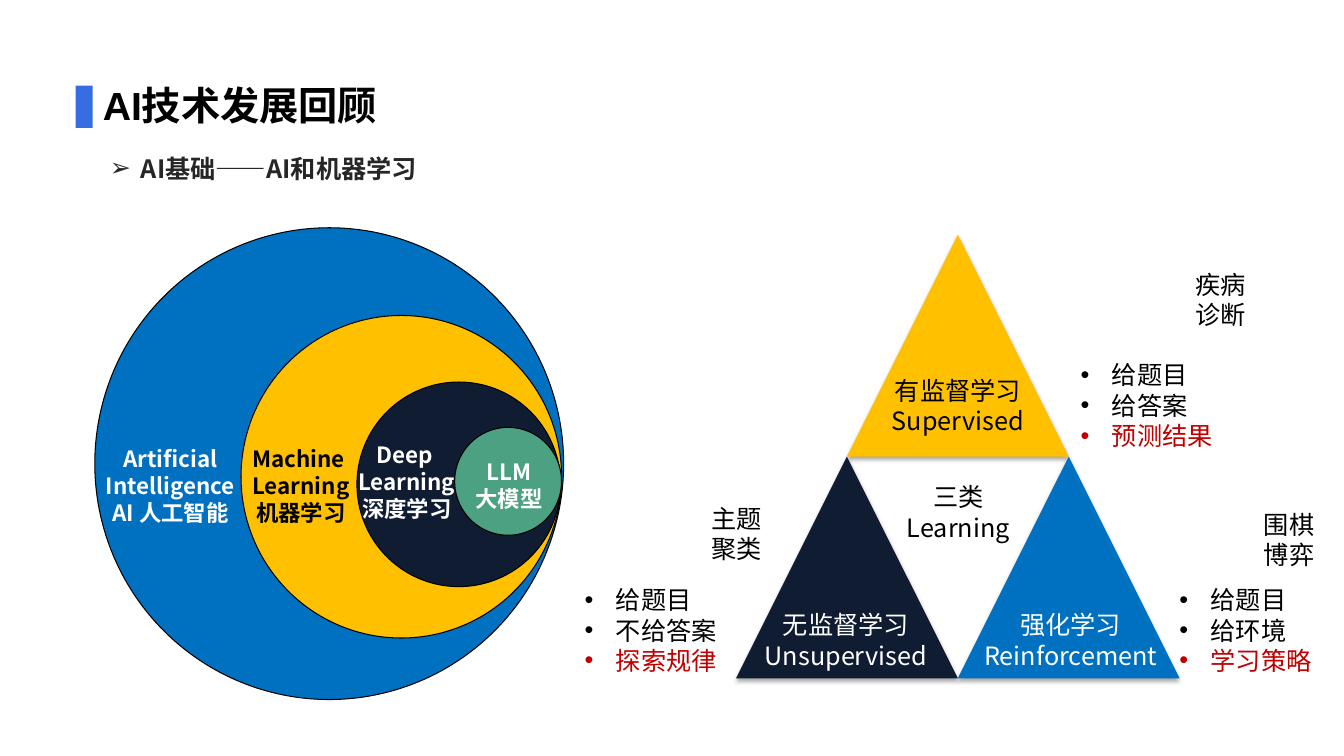
from dataclasses import dataclass

from lxml.etree import SubElement
from pptx import Presentation
from pptx.dml.color import RGBColor
from pptx.enum.shapes import MSO_SHAPE as Shape
from pptx.enum.text import MSO_ANCHOR as Anchor, MSO_AUTO_SIZE as AutoSize, PP_ALIGN as Align
from pptx.oxml.ns import qn
from pptx.util import Inches, Pt


@dataclass(frozen=True)
class Theme:
    latin: str = "Arial"
    cjk: str = "Noto Sans CJK SC"
    black: str = "000000"
    white: str = "FFFFFF"
    grey: str = "262626"
    accent: str = "366DE2"
    blue: str = "0070C0"
    gold: str = "FFC000"
    navy: str = "101C32"
    green: str = "4BA181"
    red: str = "C00000"
    title: int = 28
    body: int = 18
    label: int = 16
    leading: float = 1.2
    indent: float = 0.31


theme = Theme()

TITLE = "AI技术发展回顾"
SUBTITLE = "AI基础——AI和机器学习"
CIRCLES = [
    ((0.94, 2.26, 4.65, 4.68), theme.blue),
    ((2.39, 3.13, 3.18, 3.2), theme.gold),
    ((3.54, 3.79, 2.02, 2.03), theme.navy),
    ((4.51, 4.24, 1.06, 1.07), theme.green),
]
CIRCLE_LABELS = [
    ((0.92, 4.36, 1.54, 0.91), ["Artificial", "Intelligence", "AI 人工智能"], theme.white),
    ((2.37, 4.36, 1.23, 0.91), ["Machine ", "Learning", "机器学习"], theme.black),
    ((3.44, 4.32, 1.19, 0.91), ["Deep ", "Learning", "深度学习"], theme.white),
    ((4.61, 4.49, 0.88, 0.64), ["LLM", "大模型"], theme.white),
]
CENTER = ((8.64, 4.73, 1.73, 0.71), ["三类", "Learning"])
PYRAMID_LEFT, PYRAMID_TOP, SIDE = 7.3, 2.33, 2.2
BRANCHES = [
    {
        "cell": (0, 1), "fill": theme.navy, "ink": theme.white,
        "name": ["无监督学习", "Unsupervised"], "name_at": (7.27, 6, 2.24, 0.71),
        "steps": ["给题目", "不给答案", "探索规律"], "steps_at": (5.7, 5.75),
        "example": "主题聚类", "example_at": (6.89, 4.94),
    },
    {
        "cell": (0.5, 0), "fill": theme.gold, "ink": theme.black,
        "name": ["有监督学习", "Supervised"], "name_at": (8.25, 3.67, 2.5, 0.71),
        "steps": ["给题目", "给答案", "预测结果"], "steps_at": (10.62, 3.52),
        "example": "疾病诊断", "example_at": (11.69, 2.62),
    },
    {
        "cell": (1, 1), "fill": theme.blue, "ink": theme.white,
        "name": ["强化学习", "Reinforcement"], "name_at": (9.5, 6, 2.24, 0.71),
        "steps": ["给题目", "给环境", "学习策略"], "steps_at": (11.6, 5.75),
        "example": "围棋博弈", "example_at": (12.37, 5),
    },
]


def color(value):
    return RGBColor.from_string(value)


def style(para, size, ink, bold=False, latin=theme.cjk):
    for span in para.runs:
        span.font.name = latin
        span.font.size = Pt(size)
        span.font.bold = bold
        span.font.color.rgb = color(ink)
        SubElement(span.font._element, qn("a:ea"), typeface=theme.cjk)


def add_bullet(para, mark):
    props = para._p.get_or_add_pPr()
    props.set("marL", str(Inches(theme.indent)))
    props.set("indent", str(-Inches(theme.indent)))
    SubElement(props, qn("a:buFont"), typeface=theme.latin)
    SubElement(props, qn("a:buChar"), char=mark)


def add_text(page, at, lines, size, inks, bold=False, align=Align.CENTER,
             anchor=Anchor.TOP, wrap=True, mark=None):
    box = page.shapes.add_textbox(*map(Inches, at))
    frame = box.text_frame
    frame.word_wrap = wrap
    frame.vertical_anchor = anchor
    frame.text = "\n".join(lines)
    for para, ink in zip(frame.paragraphs, inks):
        para.alignment = align
        para.line_spacing = Pt(size * theme.leading)
        if mark:
            add_bullet(para, mark)
        style(para, size, ink, bold)


def add_figure(page, kind, at, fill, outlined=False):
    figure = page.shapes.add_shape(kind, *map(Inches, at))
    figure.shadow.inherit = False
    figure.fill.solid()
    figure.fill.fore_color.rgb = color(fill)
    if outlined:
        figure.line.color.rgb = color(theme.black)
        figure.line.width = Pt(0.75)
    else:
        figure.line.fill.background()
    return figure


def add_soft_shadow(figure):
    effects = figure._element.spPr.find(qn("a:effectLst"))
    shadow = SubElement(effects, qn("a:outerShdw"), blurRad=str(Pt(3.1)),
                        dist=str(Pt(1.8)), dir="5400000", rotWithShape="0")
    tint = SubElement(shadow, qn("a:srgbClr"), val=theme.black)
    SubElement(tint, qn("a:alpha"), val="35000")


def add_heading(page):
    add_figure(page, Shape.RECTANGLE, (0.75, 0.85, 0.17, 0.42), theme.accent)
    title = page.shapes.title
    title.left, title.top, title.width, title.height = map(Inches, (0.92, 0.76, 4.95, 0.54))
    frame = title.text_frame
    frame.text = TITLE
    frame.auto_size = AutoSize.NONE
    frame.vertical_anchor = Anchor.TOP
    para = frame.paragraphs[0]
    para.alignment = Align.LEFT
    para.line_spacing = 1.0
    para.space_before = Pt(0)
    style(para, theme.title, theme.black, True, theme.latin)
    add_text(page, (0.99, 1.47, 5.58, 0.4), [SUBTITLE], theme.body, [theme.grey],
             bold=True, align=Align.LEFT, mark="➢")


def add_circles(page):
    for at, fill in CIRCLES:
        add_figure(page, Shape.OVAL, at, fill, outlined=True)
    for at, lines, ink in CIRCLE_LABELS:
        add_text(page, at, lines, theme.label, [ink] * len(lines), bold=True,
                 anchor=Anchor.MIDDLE, wrap=False)


def add_pyramid(page):
    at, lines = CENTER
    add_text(page, at, lines, theme.body, [theme.black] * len(lines))
    for branch in BRANCHES:
        column, row = branch["cell"]
        corner = (PYRAMID_LEFT + column * SIDE, PYRAMID_TOP + row * SIDE)
        triangle = add_figure(page, Shape.ISOSCELES_TRIANGLE, (*corner, SIDE, SIDE), branch["fill"])
        add_soft_shadow(triangle)
        add_text(page, branch["name_at"], branch["name"], theme.body, [branch["ink"]] * 2)
        add_text(page, (*branch["steps_at"], 1.73, 1.01), branch["steps"], theme.body,
                 [theme.black, theme.black, theme.red], align=Align.LEFT, mark="•")
        add_text(page, (*branch["example_at"], 0.83, 0.71), [branch["example"]],
                 theme.body, [theme.black])


def main():
    deck = Presentation()
    deck.slide_width, deck.slide_height = Inches(13.33), Inches(7.5)
    page = deck.slides.add_slide(deck.slide_layouts[5])
    add_heading(page)
    add_circles(page)
    add_pyramid(page)
    deck.save("out.pptx")


if __name__ == "__main__":
    main()
